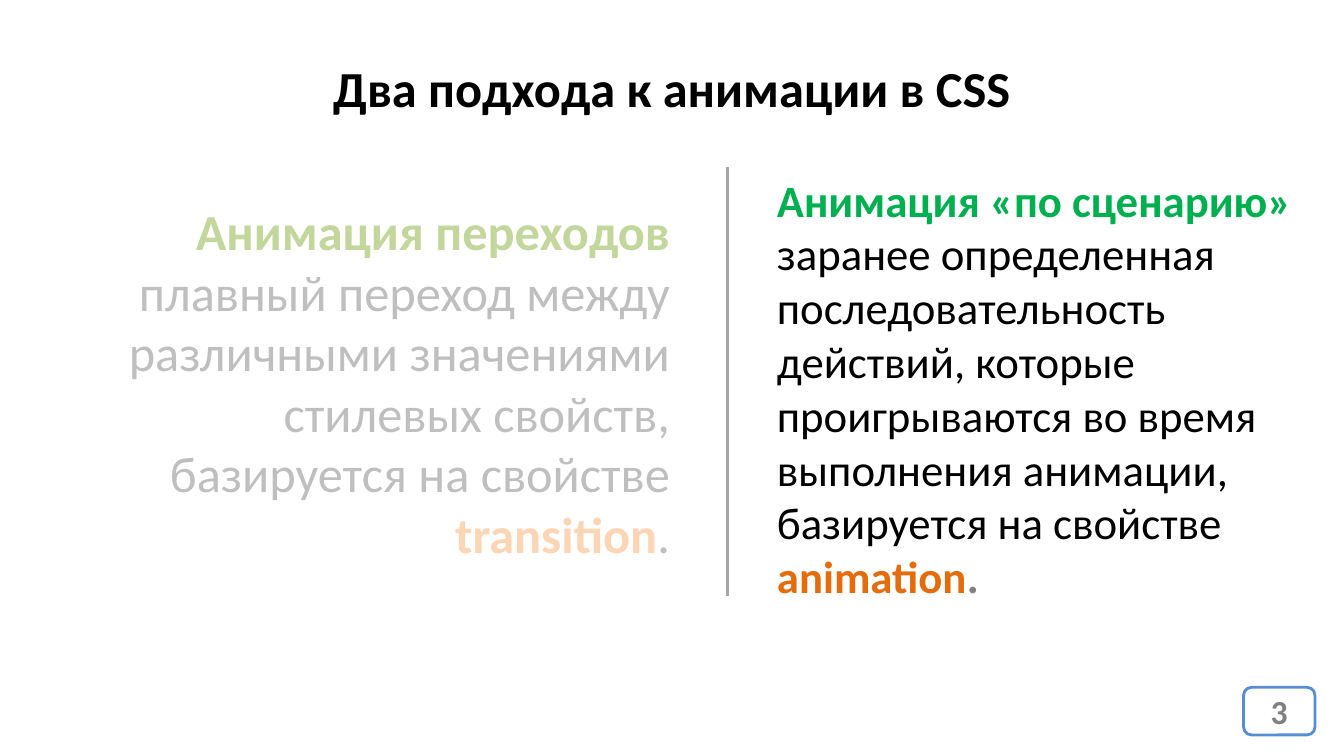
from lxml import etree
from pptx import Presentation
from pptx.dml.color import RGBColor
from pptx.enum.shapes import MSO_CONNECTOR, MSO_SHAPE
from pptx.enum.text import MSO_ANCHOR, MSO_AUTO_SIZE, PP_ALIGN
from pptx.oxml.ns import qn
from pptx.util import Cm, Pt

COLORS = {
    "black": "000000",
    "white": "FFFFFF",
    "gray": "808080",
    "faded gray": "BFBFBF",
    "divider": "A6A6A6",
    "green": "00B050",
    "faded green": "C3D69B",
    "orange": "E46C0A",
    "faded orange": "FCD5B5",
    "blue": "558ED5",
}


def color(name):
    return RGBColor.from_string(COLORS[name])


def write(shape, runs, size, align, anchor=MSO_ANCHOR.TOP, fit=MSO_AUTO_SIZE.SHAPE_TO_FIT_TEXT):
    """Fill the shape with one paragraph of (text, color name, bold) runs."""
    frame = shape.text_frame
    frame.word_wrap = True
    frame.auto_size = fit
    frame.vertical_anchor = anchor
    paragraph = frame.paragraphs[0]
    paragraph.alignment = align
    for text, color_name, bold in runs:
        run = paragraph.add_run()
        run.text = text
        run.font.name = "Calibri"
        run.font.size = Pt(size)
        run.font.bold = bold
        run.font.color.rgb = color(color_name)


prs = Presentation()
prs.slide_width, prs.slide_height = Cm(33.87), Cm(19.05)
slide = prs.slides.add_slide(prs.slide_layouts[5])
shapes = slide.shapes

# Title
title = shapes.title
title.left, title.top, title.width, title.height = Cm(0), Cm(1.32), Cm(33.87), Cm(1.8)
write(title, [("Два подхода к анимации в CSS", "black", True)], 36, PP_ALIGN.CENTER)

# The two approaches
scenario = shapes.add_textbox(Cm(19.33), Cm(4.22), Cm(13.79), Cm(11.2))
write(scenario, [
    ("Анимация «по сценарию» ", "green", True),
    ("заранее определенная последовательность действий, которые проигрываются "
     "во время выполнения анимации, базируется на свойстве ", "black", False),
    ("animation", "orange", True),
    (".", "gray", True),
], 32, PP_ALIGN.LEFT)

transitions = shapes.add_textbox(Cm(1.9), Cm(4.93), Cm(15.24), Cm(9.5))
write(transitions, [
    ("Анимация переходов ", "faded green", True),
    ("плавный переход между различными значениями стилевых свойств, "
     "базируется на свойстве ", "faded gray", False),
    ("transition", "faded orange", True),
    (".", "faded gray", False),
], 36, PP_ALIGN.RIGHT)

# Divider between them
divider = shapes.add_connector(MSO_CONNECTOR.STRAIGHT, Cm(18.34), Cm(4.22), Cm(18.34), Cm(15.01))
divider.line.color.rgb = color("divider")
divider.line.width = Pt(2.25)
etree.SubElement(divider._element.spPr, qn("a:effectLst"))

# Slide number
page_number = shapes.add_shape(MSO_SHAPE.ROUNDED_RECTANGLE, Cm(31.34), Cm(17.32), Cm(1.8), Cm(1.2))
page_number.shadow.inherit = False
page_number.fill.solid()
page_number.fill.fore_color.rgb = color("white")
page_number.line.color.rgb = color("blue")
page_number.line.width = Pt(2)
write(page_number, [("3", "gray", True)], 24, PP_ALIGN.CENTER, MSO_ANCHOR.MIDDLE, MSO_AUTO_SIZE.NONE)

prs.save("out.pptx")
